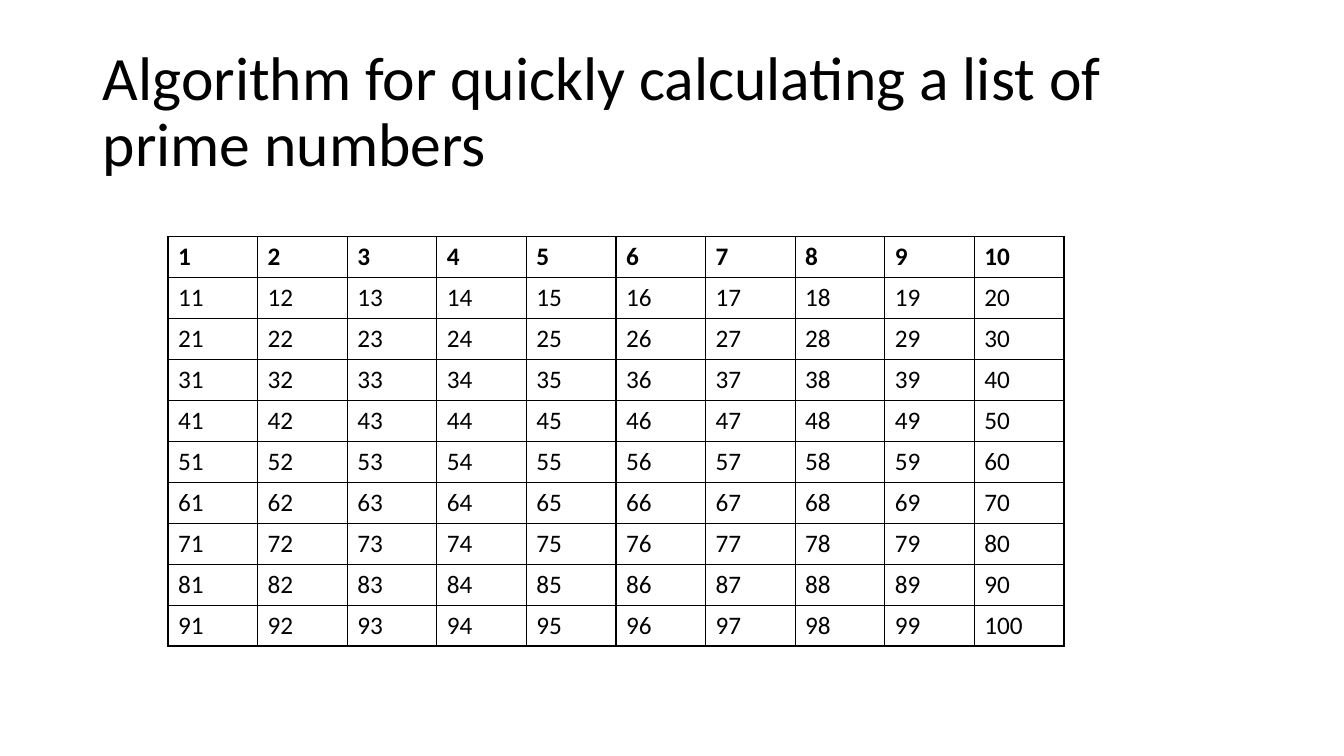
from dataclasses import dataclass

from lxml import etree
from pptx import Presentation
from pptx.dml.color import RGBColor
from pptx.enum.text import MSO_ANCHOR, MSO_AUTO_SIZE, PP_ALIGN
from pptx.oxml.ns import qn
from pptx.util import Inches, Pt

MIDDLE = MSO_ANCHOR.MIDDLE
NO_AUTOFIT = MSO_AUTO_SIZE.NONE
LEFT = PP_ALIGN.LEFT


@dataclass
class Theme:
    font: str = "Calibri"
    ink: str = "000000"
    paper: str = "FFFFFF"
    title_size: int = 44
    number_size: int = 18
    border_width: int = 1


theme = Theme()


def style_text(para, size, bold=False):
    para.font.name = theme.font
    para.font.size = Pt(size)
    para.font.bold = bold
    para.font.color.rgb = RGBColor.from_string(theme.ink)


def add_borders(cell):
    properties = cell._tc.get_or_add_tcPr()
    for side in ("lnL", "lnR", "lnT", "lnB"):
        line = etree.SubElement(properties, qn(f"a:{side}"), w=str(Pt(theme.border_width)))
        fill = etree.SubElement(line, qn("a:solidFill"))
        etree.SubElement(fill, qn("a:srgbClr"), val=theme.ink)


# Page
deck = Presentation()
deck.slide_width, deck.slide_height = Inches(13.33), Inches(7.5)
page = deck.slides.add_slide(deck.slide_layouts[5])

# Title
title = page.shapes.title
title.left, title.top = Inches(0.92), Inches(0.4)
title.width, title.height = Inches(11.5), Inches(1.45)
frame = title.text_frame
frame.text = "Algorithm for quickly calculating a list of prime numbers"
frame.word_wrap = True
frame.auto_size = NO_AUTOFIT
frame.vertical_anchor = MIDDLE
para = frame.paragraphs[0]
para.alignment = LEFT
para.line_spacing = 0.9
style_text(para, theme.title_size)

# Number grid: ten columns, each a fifteenth of the page width
count = 10
column_width = deck.slide_width // 15
row_height = Inches(4.06) // count
table = page.shapes.add_table(
    count, count, deck.slide_width // 8, Inches(2.35),
    column_width * count, row_height * count,
).table
for column in table.columns:
    column.width = column_width
for row in table.rows:
    row.height = row_height

# Numbers 1 to 100, with the first row in bold
for number, cell in enumerate(table.iter_cells(), start=1):
    cell.text = str(number)
    style_text(cell.text_frame.paragraphs[0], theme.number_size, bold=number <= count)
    add_borders(cell)
    cell.fill.solid()
    cell.fill.fore_color.rgb = RGBColor.from_string(theme.paper)

deck.save("out.pptx")
